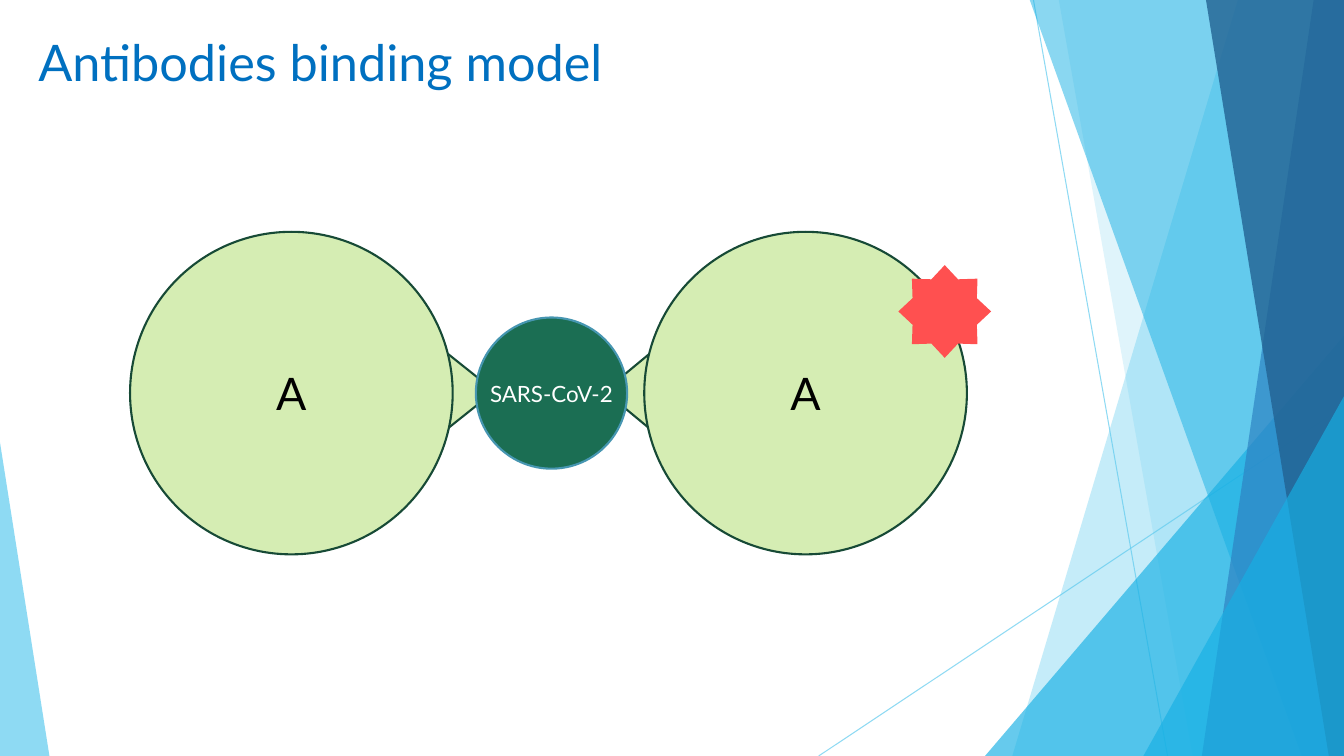
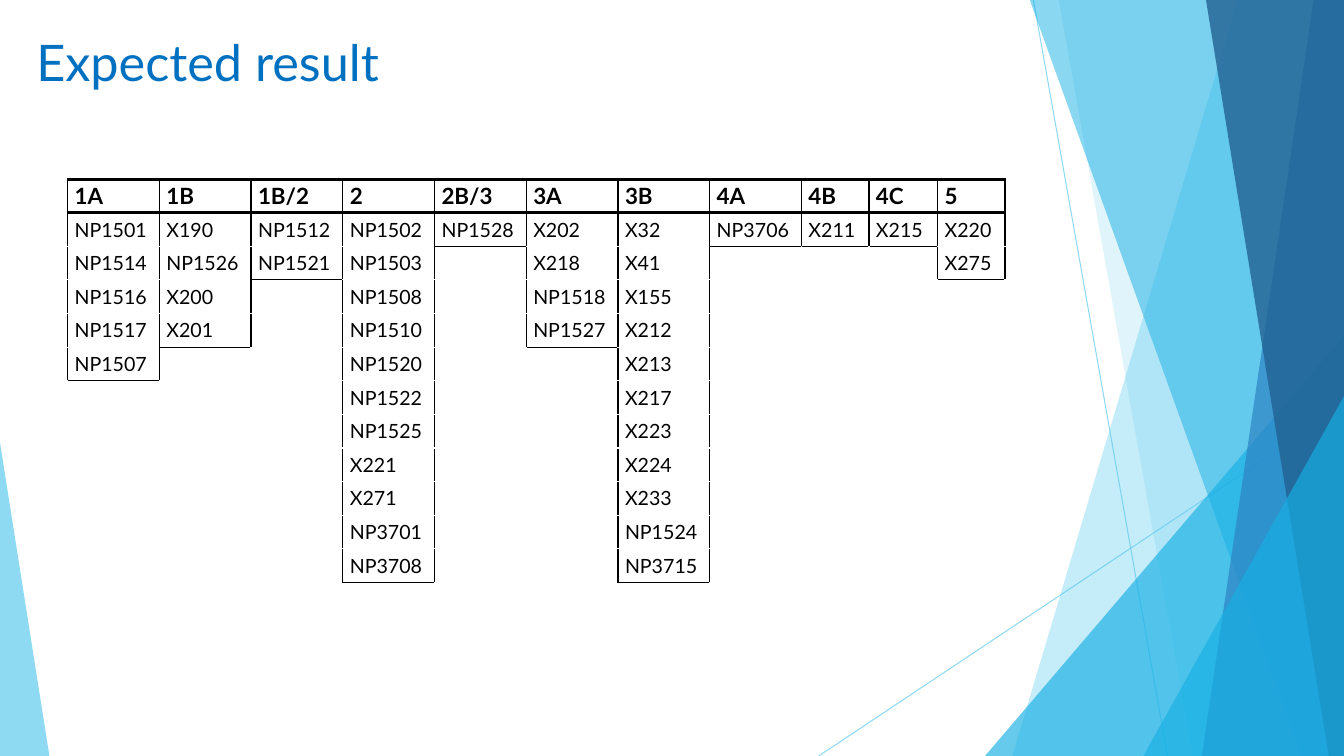
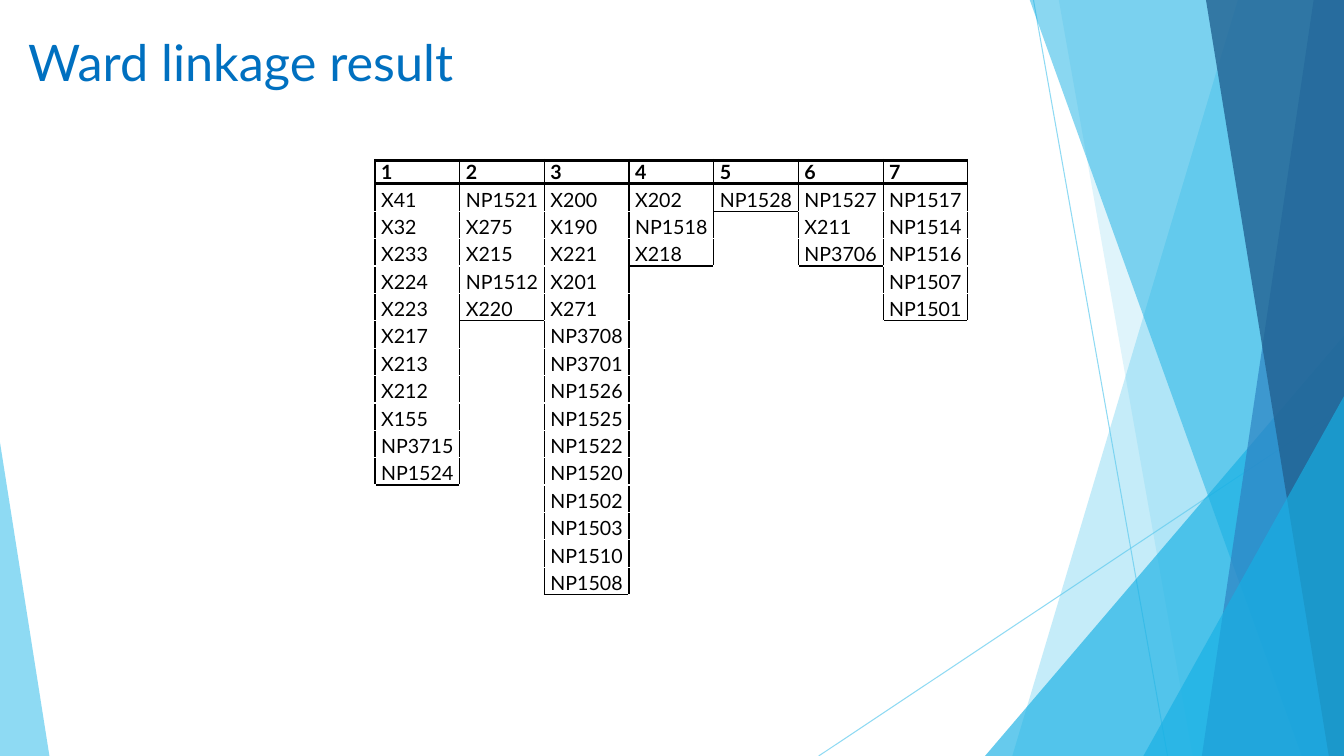
from dataclasses import dataclass

from lxml import etree
from pptx import Presentation
from pptx.dml.color import RGBColor
from pptx.enum.shapes import MSO_CONNECTOR, MSO_SHAPE
from pptx.enum.text import MSO_ANCHOR, MSO_AUTO_SIZE, PP_ALIGN
from pptx.oxml.ns import qn
from pptx.util import Inches, Pt

STRAIGHT = MSO_CONNECTOR.STRAIGHT
TRIANGLE = MSO_SHAPE.ISOSCELES_TRIANGLE
OVAL = MSO_SHAPE.OVAL
STAR = MSO_SHAPE.STAR_8_POINT
TOP, MIDDLE, BOTTOM = MSO_ANCHOR.TOP, MSO_ANCHOR.MIDDLE, MSO_ANCHOR.BOTTOM
LEFT, CENTER = PP_ALIGN.LEFT, PP_ALIGN.CENTER
NO_AUTOFIT = MSO_AUTO_SIZE.NONE

SLIDE_W, SLIDE_H = 13.33, 7.5
TITLE_ONLY = 5
BAND_TOP = -0.01


@dataclass(frozen=True)
class Theme:
    """Colours, font and type sizes of the deck."""
    font: str = "Lato"
    title: str = "0070C0"
    ink: str = "000000"
    paper: str = "FFFFFF"
    sky: str = "5FCBEF"
    azure: str = "17B0E4"
    blue: str = "2E83C3"
    navy: str = "226292"
    antibody: str = "D5EDB3"
    antibody_edge: str = "174A36"
    virus: str = "1B6E53"
    virus_edge: str = "4696B1"
    label: str = "FF5050"
    title_size: float = 36
    antibody_size: float = 32
    large_size: float = 16
    table_size: float = 14
    outline: float = 1.5
    hairline: float = 0.75
    rule: float = 1
    heavy_rule: float = 2.25


THEME = Theme()


@dataclass(frozen=True)
class Ray:
    """A thin line of the backdrop."""
    start: tuple[float, float]
    end: tuple[float, float]


@dataclass(frozen=True)
class Band:
    """A full-height facet between a slanted left edge and the slide edge."""
    top_x: float
    bottom_x: float
    color: str
    opacity: int


@dataclass(frozen=True)
class Wedge:
    """A triangular facet standing on the bottom of the slide."""
    left: float
    top: float
    width: float
    apex: float
    color: str
    opacity: int


@dataclass(frozen=True)
class Part:
    """One preset shape of the binding model."""
    kind: MSO_SHAPE
    box: tuple[float, float, float, float]
    fill: str
    edge: str | None = None
    text: str = ""
    size: float = THEME.antibody_size
    color: str = THEME.ink
    rotation: float = 0
    wrap: bool = True


@dataclass(frozen=True)
class ClusterTable:
    """Antibody names listed under their clusters."""
    left: float
    top: float
    height: float
    header_height: float
    widths: tuple[float, ...]
    inset: float
    anchor: MSO_ANCHOR
    header_size: float
    clusters: dict[str, str]


BACKDROP = (
    Ray((10.25, 0), (11.58, SLIDE_H)),
    Ray((SLIDE_W, 4.03), (8.12, SLIDE_H)),
    Band(12.28, 10.04, THEME.sky, 36),
    Band(10.5, 11.83, THEME.sky, 20),
    Wedge(9.77, 3.33, 3.56, 1, THEME.azure, 66),
    Band(10.21, 12.91, THEME.azure, 50),
    Band(13.03, 11.92, THEME.blue, 70),
    Band(11.96, 13.18, THEME.navy, 80),
    Wedge(11.34, 3.93, 1.99, 1, THEME.azure, 66),
    Wedge(0, 4.39, 0.49, 0, THEME.sky, 70),
)

BINDING_MODEL = (
    Part(TRIANGLE, (3.84, 3.47, 1.31, 0.82), THEME.antibody, THEME.antibody_edge, rotation=90),
    Part(OVAL, (1.29, 2.3, 3.2, 3.2), THEME.antibody, THEME.antibody_edge, "A"),
    Part(TRIANGLE, (5.68, 3.4, 1.59, 0.96), THEME.antibody, THEME.antibody_edge, rotation=270),
    Part(OVAL, (6.39, 2.3, 3.2, 3.2), THEME.antibody, THEME.antibody_edge, "A"),
    Part(STAR, (8.91, 2.63, 0.92, 0.92), THEME.label),
    Part(OVAL, (4.72, 3.15, 1.5, 1.5), THEME.virus, THEME.virus_edge, "SARS-CoV-2",
         THEME.large_size, THEME.paper, wrap=False),
)

EXPECTED = ClusterTable(
    left=0.67, top=1.78, height=4, header_height=0.33,
    widths=(0.91,) * 8 + (0.67, 0.68, 0.67),
    inset=0.07, anchor=MIDDLE, header_size=THEME.large_size,
    clusters={
        "1A": "NP1501 NP1514 NP1516 NP1517 NP1507",
        "1B": "X190 NP1526 X200 X201",
        "1B/2": "NP1512 NP1521",
        "2": "NP1502 NP1503 NP1508 NP1510 NP1520 NP1522 NP1525 X221 X271 NP3701 NP3708",
        "2B/3": "NP1528",
        "3A": "X202 X218 NP1518 NP1527",
        "3B": "X32 X41 X155 X212 X213 X217 X223 X224 X233 NP1524 NP3715",
        "4A": "NP3706",
        "4B": "X211",
        "4C": "X215",
        "5": "X220 X275",
    },
)

WARD = ClusterTable(
    left=3.72, top=1.59, height=4.31, header_height=0.23,
    widths=(0.84,) * 7,
    inset=0.06, anchor=BOTTOM, header_size=THEME.table_size,
    clusters={
        "1": "X41 X32 X233 X224 X223 X217 X213 X212 X155 NP3715 NP1524",
        "2": "NP1521 X275 X215 NP1512 X220",
        "3": "X200 X190 X221 X201 X271 NP3708 NP3701 NP1526 NP1525 NP1522 NP1520 "
             "NP1502 NP1503 NP1510 NP1508",
        "4": "X202 NP1518 X218",
        "5": "NP1528",
        "6": "NP1527 X211 NP3706",
        "7": "NP1517 NP1514 NP1516 NP1507 NP1501",
    },
)


def write_text(frame, text: str, *, size: float, color: str = THEME.ink,
               bold: bool = False, align: PP_ALIGN = LEFT) -> None:
    """Write one formatted line into a text frame."""
    paragraph = frame.paragraphs[0]
    paragraph.alignment = align
    run = paragraph.add_run()
    run.text = text
    run.font.name = THEME.font
    run.font.size = Pt(size)
    run.font.bold = bold
    run.font.color.rgb = RGBColor.from_string(color)


def set_opacity(shape, percent: int) -> None:
    """Make the colours of a shape partly transparent."""
    for color in shape.element.iter(qn("a:srgbClr")):
        etree.SubElement(color, qn("a:alpha"), val=str(percent * 1000))


def style_shape(shape, fill: str, edge: str | None = None) -> None:
    """Give a shape a flat fill and an optional outline."""
    shape.shadow.inherit = False
    shape.fill.solid()
    shape.fill.fore_color.rgb = RGBColor.from_string(fill)
    if edge:
        shape.line.color.rgb = RGBColor.from_string(edge)
        shape.line.width = Pt(THEME.outline)
    else:
        shape.line.fill.background()


def draw_ray(shapes, ray: Ray):
    """Draw a thin backdrop line."""
    ends = [Inches(value) for value in ray.start + ray.end]
    line = shapes.add_connector(STRAIGHT, *ends)
    line.line.color.rgb = RGBColor.from_string(THEME.sky)
    line.line.width = Pt(THEME.hairline)
    etree.SubElement(line.element.spPr, qn("a:effectLst"))
    set_opacity(line, 70)
    return line


def draw_band(shapes, band: Band):
    """Draw a facet that reaches the right edge of the slide."""
    corners = ((SLIDE_W, BAND_TOP), (SLIDE_W, SLIDE_H), (band.bottom_x, SLIDE_H))
    outline = shapes.build_freeform(Inches(band.top_x), Inches(BAND_TOP))
    outline.add_line_segments([(Inches(x), Inches(y)) for x, y in corners])
    facet = outline.convert_to_shape()
    style_shape(facet, band.color)
    set_opacity(facet, band.opacity)
    return facet


def draw_wedge(shapes, wedge: Wedge):
    """Draw a triangular facet."""
    facet = shapes.add_shape(TRIANGLE, Inches(wedge.left), Inches(wedge.top),
                             Inches(wedge.width), Inches(SLIDE_H - wedge.top))
    facet.adjustments[0] = wedge.apex
    style_shape(facet, wedge.color)
    set_opacity(facet, wedge.opacity)
    return facet


def install_backdrop(slide) -> None:
    """Draw the facets and move them to the layout that all slides share."""
    layout = slide.slide_layout
    for holder in list(layout.placeholders):
        if holder.placeholder_format.idx != 0:
            layout.shapes.element.remove(holder.element)
    draw = {Ray: draw_ray, Band: draw_band, Wedge: draw_wedge}
    for position, item in enumerate(BACKDROP, start=2):
        facet = draw[type(item)](slide.shapes, item)
        layout.shapes.element.insert(position, facet.element)


def set_title(slide, text: str, left: float) -> None:
    """Place and write the slide title."""
    title = slide.shapes.title
    title.left, title.top = Inches(left), Inches(0.26)
    title.width, title.height = Inches(9.93), Inches(0.82)
    title.text_frame.auto_size = NO_AUTOFIT
    title.text_frame.vertical_anchor = TOP
    write_text(title.text_frame, text, size=THEME.title_size, color=THEME.title)


def draw_part(slide, part: Part) -> None:
    """Draw one shape of the binding model."""
    shape = slide.shapes.add_shape(part.kind, *(Inches(value) for value in part.box))
    shape.rotation = part.rotation
    style_shape(shape, part.fill, part.edge)
    if part.text:
        frame = shape.text_frame
        frame.word_wrap = part.wrap
        frame.vertical_anchor = MIDDLE
        if not part.wrap:
            frame.margin_left = frame.margin_right = 0
        write_text(frame, part.text, size=part.size, color=part.color, align=CENTER)


def add_border(cell, side: str, color: str, width: float) -> None:
    """Add one border line to a table cell."""
    properties = cell._tc.get_or_add_tcPr()
    line = etree.SubElement(properties, qn(f"a:ln{side}"), w=str(Pt(width)))
    fill = etree.SubElement(line, qn("a:solidFill"))
    etree.SubElement(fill, qn("a:srgbClr"), val=color)


def draw_clusters(slide, spec: ClusterTable) -> None:
    """Draw a cluster table with lines around each list of names."""
    columns = [[name, *members.split()] for name, members in spec.clusters.items()]
    row_count = max(len(column) for column in columns)
    table = slide.shapes.add_table(
        row_count, len(columns), Inches(spec.left), Inches(spec.top),
        Inches(sum(spec.widths)), Inches(spec.height)).table
    table.first_row = table.horz_banding = False
    for column, width in zip(table.columns, spec.widths):
        column.width = Inches(width)
    body_height = (spec.height - spec.header_height) / (row_count - 1)
    for index, row in enumerate(table.rows):
        row.height = Inches(body_height if index else spec.header_height)

    def filled(row: int, col: int) -> bool:
        """Tell whether a grid position holds a name."""
        return 0 <= col < len(columns) and 0 <= row < len(columns[col])

    def horizontal(row: int, col: int) -> tuple[str, float]:
        """Return colour and width of the line above a row."""
        is_list_end = filled(row - 1, col) != filled(row, col)
        if row <= 1:
            return THEME.ink, THEME.heavy_rule
        return (THEME.ink if is_list_end else THEME.paper), THEME.rule

    def vertical(row: int, col: int) -> tuple[str, float]:
        """Return colour and width of the line left of a column."""
        touches_name = filled(row, col - 1) or filled(row, col)
        return (THEME.ink if touches_name else THEME.paper), THEME.rule

    for row in range(row_count):
        for col, names in enumerate(columns):
            cell = table.cell(row, col)
            cell.margin_left = cell.margin_right = Inches(spec.inset)
            cell.margin_top = cell.margin_bottom = 0
            cell.vertical_anchor = spec.anchor
            add_border(cell, "L", *vertical(row, col))
            add_border(cell, "R", *vertical(row, col + 1))
            add_border(cell, "T", *horizontal(row, col))
            add_border(cell, "B", *horizontal(row + 1, col))
            cell.fill.background()
            if filled(row, col):
                write_text(cell.text_frame, names[row], bold=row == 0,
                           size=THEME.table_size if row else spec.header_size)
            else:
                etree.SubElement(cell.text_frame.paragraphs[0]._p, qn("a:endParaRPr"),
                                 sz=str(int(THEME.table_size * 100)))


def build() -> None:
    """Build and save the deck."""
    deck = Presentation()
    deck.slide_width, deck.slide_height = Inches(SLIDE_W), Inches(SLIDE_H)
    layout = deck.slide_layouts[TITLE_ONLY]

    model = deck.slides.add_slide(layout)
    install_backdrop(model)
    set_title(model, "Antibodies binding model", 0.28)
    for part in BINDING_MODEL:
        draw_part(model, part)

    expected = deck.slides.add_slide(layout)
    set_title(expected, "Expected result", 0.26)
    draw_clusters(expected, EXPECTED)

    ward = deck.slides.add_slide(layout)
    set_title(ward, "Ward linkage result", 0.18)
    draw_clusters(ward, WARD)

    deck.save("out.pptx")


build()
